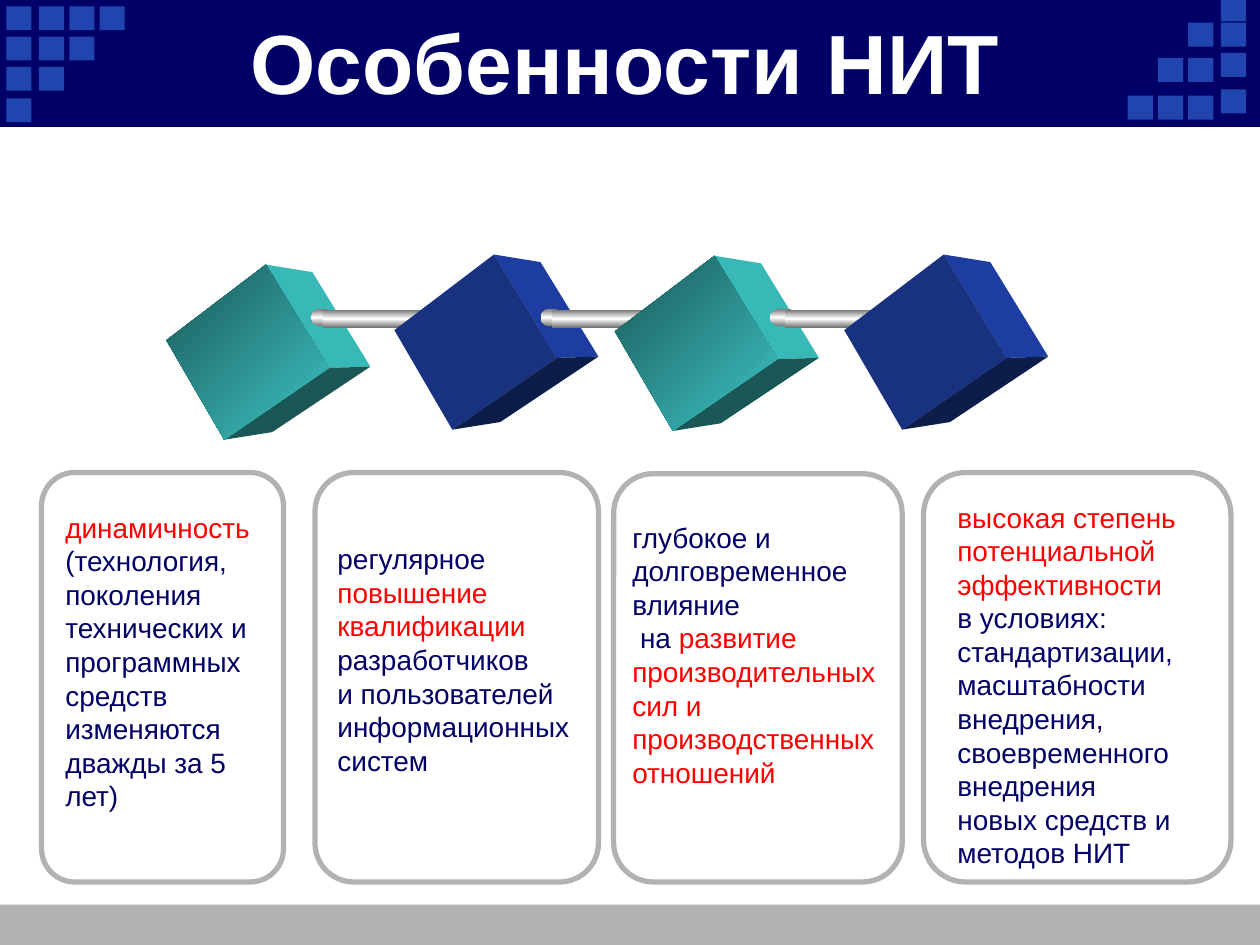
import pptx
import pptx.dml.color
import pptx.enum.shapes
import pptx.enum.text
import pptx.oxml.ns
import pptx.util
from lxml import etree
from pptx.dml.color import RGBColor
from pptx.util import Inches

NAVY = RGBColor(0x00, 0x00, 0x66)
BLUE = RGBColor(0x20, 0x45, 0xAE)
GRAY = RGBColor(0xB2, 0xB2, 0xB2)
WHITE = RGBColor(0xFF, 0xFF, 0xFF)
RED = RGBColor(0xFF, 0x00, 0x00)
STEEL = RGBColor(0x76, 0x76, 0x76)
SILVER = RGBColor(0xB6, 0xB6, 0xB6)
TEAL = RGBColor(0x3D, 0xC5, 0xC5)
TEAL_SIDE = RGBColor(0x39, 0xB8, 0xB8)
TEAL_DARK = RGBColor(0x1B, 0x57, 0x57)
BLUE_FRONT = RGBColor(0x18, 0x32, 0x80)
BLUE_SIDE = RGBColor(0x1D, 0x3E, 0xA0)
BLUE_DARK = RGBColor(0x0D, 0x1D, 0x4A)

SHAPES = pptx.enum.shapes.MSO_SHAPE


def paint(shape, colors, angle=270, line=None, width=0.75):
    """Fill with no colour, one colour or an even gradient; set the outline."""
    shape.shadow.inherit = False
    if not colors:
        shape.fill.background()
    elif len(colors) == 1:
        shape.fill.solid()
        shape.fill.fore_color.rgb = colors[0]
    else:
        shape.fill.gradient()
        shape.fill.gradient_angle = angle
        qn = pptx.oxml.ns.qn
        stops = shape.element.spPr.find(qn("a:gradFill")).find(qn("a:gsLst"))
        for stop in list(stops):
            stops.remove(stop)
        for index, color in enumerate(colors):
            position = 100000 * index // (len(colors) - 1)
            stop = etree.SubElement(stops, qn("a:gs"), pos=str(position))
            etree.SubElement(stop, qn("a:srgbClr"), val=str(color))
    if line is None:
        shape.line.fill.background()
    else:
        shape.line.color.rgb = line
        shape.line.width = pptx.util.Pt(width)


def add_text(paragraphs, left, top, width, height, size=16, bold=False,
             wrap=True, align=pptx.enum.text.PP_ALIGN.LEFT,
             anchor=pptx.enum.text.MSO_ANCHOR.TOP):
    """Add a text box; each paragraph is a list of (text, colour) spans."""
    box = page.shapes.add_textbox(Inches(left), Inches(top), Inches(width), Inches(height))
    frame = box.text_frame
    frame.word_wrap = wrap
    frame.vertical_anchor = anchor
    for index, spans in enumerate(paragraphs):
        para = frame.add_paragraph() if index else frame.paragraphs[0]
        para.alignment = align
        for text, color in spans:
            span = para.add_run()
            span.text = text
            span.font.name = "Arial"
            span.font.size = pptx.util.Pt(size)
            span.font.bold = bold
            span.font.color.rgb = color


deck = pptx.Presentation()
deck.slide_width = Inches(10)
deck.slide_height = Inches(7.5)
page = deck.slides.add_slide(deck.slide_layouts[6])

# Header and footer bands
footer = page.shapes.add_shape(SHAPES.RECTANGLE, 0, Inches(7.18), Inches(10), Inches(0.32))
paint(footer, [GRAY])
header = page.shapes.add_shape(SHAPES.RECTANGLE, 0, 0, Inches(10), Inches(1))
paint(header, [NAVY], line=NAVY)

# Stepped squares in both corners of the header
squares = []
for row, top in enumerate((0.05, 0.29, 0.53, 0.78)):
    squares += [(left, top) for left in (0.05, 0.31, 0.55, 0.79)[:4 - row]]
for row, top in enumerate((0.76, 0.46, 0.18)):
    squares += [(left, top) for left in (9.43, 9.19, 8.95)[:3 - row]]
squares += [(9.69, top) for top in (0.71, 0.42, 0.18, -0.02)]
for left, top in squares:
    square = page.shapes.add_shape(
        SHAPES.RECTANGLE, Inches(left), Inches(top), Inches(0.2), Inches(0.19))
    paint(square, [BLUE])

# Title
add_text([[("Особенности НИТ", WHITE)]], 0.92, 0.17, 8.08, 0.62, size=48, bold=True,
         align=pptx.enum.text.PP_ALIGN.CENTER, anchor=pptx.enum.text.MSO_ANCHOR.MIDDLE)

# Rounded frames
for left, top, width in ((7.33, 3.75, 2.44), (4.87, 3.76, 2.29),
                         (2.5, 3.75, 2.25), (0.33, 3.75, 1.92)):
    frame_box = page.shapes.add_shape(
        SHAPES.ROUNDED_RECTANGLE, Inches(left), Inches(top), Inches(width), Inches(7 - top))
    frame_box.adjustments[0] = 0.137
    paint(frame_box, [], line=GRAY, width=3)

# Chain of cubes: side, bottom and front face of each, then the rod to the next
side = ((0.79, 0), (1.16, 0.06), (1.62, 0.81), (1.29, 0.82))
bottom = ((1.29, 0.82), (1.62, 0.81), (0.84, 1.33), (0.46, 1.39))
front = ((0, 0.6), (0.79, 0), (1.29, 0.82), (0.46, 1.39))
teal_faces = ([TEAL_SIDE], [TEAL_DARK], [TEAL_DARK, TEAL])
blue_faces = ([BLUE_SIDE], [BLUE_DARK], [BLUE_FRONT])
metal = [STEEL, WHITE, STEEL]
shine = [SILVER, WHITE, SILVER]
# kind, offset along the rod, top, width, height, colours, outline
rod_parts = (
    (SHAPES.OVAL, 0, 2.45, 0.17, 0.14, metal, None),
    (SHAPES.RECTANGLE, 0.09, 2.46, 0.82, 0.14, metal, None),
    (SHAPES.OVAL, 0.84, 2.46, 0.15, 0.13, shine, WHITE),
    (SHAPES.OVAL, 0.92, 2.5, 0.04, 0.04, shine, None),
)
# cube left, cube top, face colours, rod left, rod stretch
links = (
    (1.32, 2.1, teal_faces, 2.47, 1),
    (3.13, 2.02, blue_faces, 4.29, 1),
    (4.88, 2.03, teal_faces, 6.11, 1.3),
    (6.7, 2.02, blue_faces, None, None),
)
for left, top, faces, rod_left, stretch in links:
    for outline, colors in zip((side, bottom, front), faces):
        points = [(Inches(left + x), Inches(top + y)) for x, y in outline]
        builder = page.shapes.build_freeform(*points[0])
        builder.add_line_segments(points[1:], close=True)
        paint(builder.convert_to_shape(), colors, angle=315)
    if rod_left is None:
        continue
    for kind, offset, part_top, width, height, colors, line in rod_parts:
        part = page.shapes.add_shape(
            kind, Inches(rod_left + offset * stretch), Inches(part_top),
            Inches(width * stretch), Inches(height))
        paint(part, colors, line=line, width=1)

# Texts in the frames
add_text([[("динамичность ", RED),
           ("(технология, поколения технических и программных средств "
            "изменяются дважды за 5 лет)", NAVY)]], 0.42, 4, 1.75, 2.52)
add_text([[("регулярное", NAVY)], [("повышение", RED)], [("квалификации", RED)],
          [("разработчиков", NAVY)], [("и пользователей", NAVY)],
          [("информационных", NAVY)], [("систем", NAVY)]], 2.58, 4.25, 2.08, 1.99)
add_text([[("глубокое и", NAVY)], [("долговременное", NAVY)], [("влияние", NAVY)],
          [(" на ", NAVY), ("развитие", RED)], [("производительных", RED)],
          [("сил и", RED)], [("производственных", RED)], [("отношений", RED)]],
         4.92, 4.08, 2.21, 2.26)
add_text([[("высокая степень", RED)], [("потенциальной", RED)], [("эффективности", RED)],
          [("в условиях:", NAVY)], [("стандартизации,", NAVY)], [("масштабности", NAVY)],
          [("внедрения,", NAVY)], [("своевременного", NAVY)], [("внедрения", NAVY)],
          [("новых средств и", NAVY)], [("методов НИТ", NAVY)]],
         7.5, 3.92, 2.02, 3.06, wrap=False)

deck.save("out.pptx")
